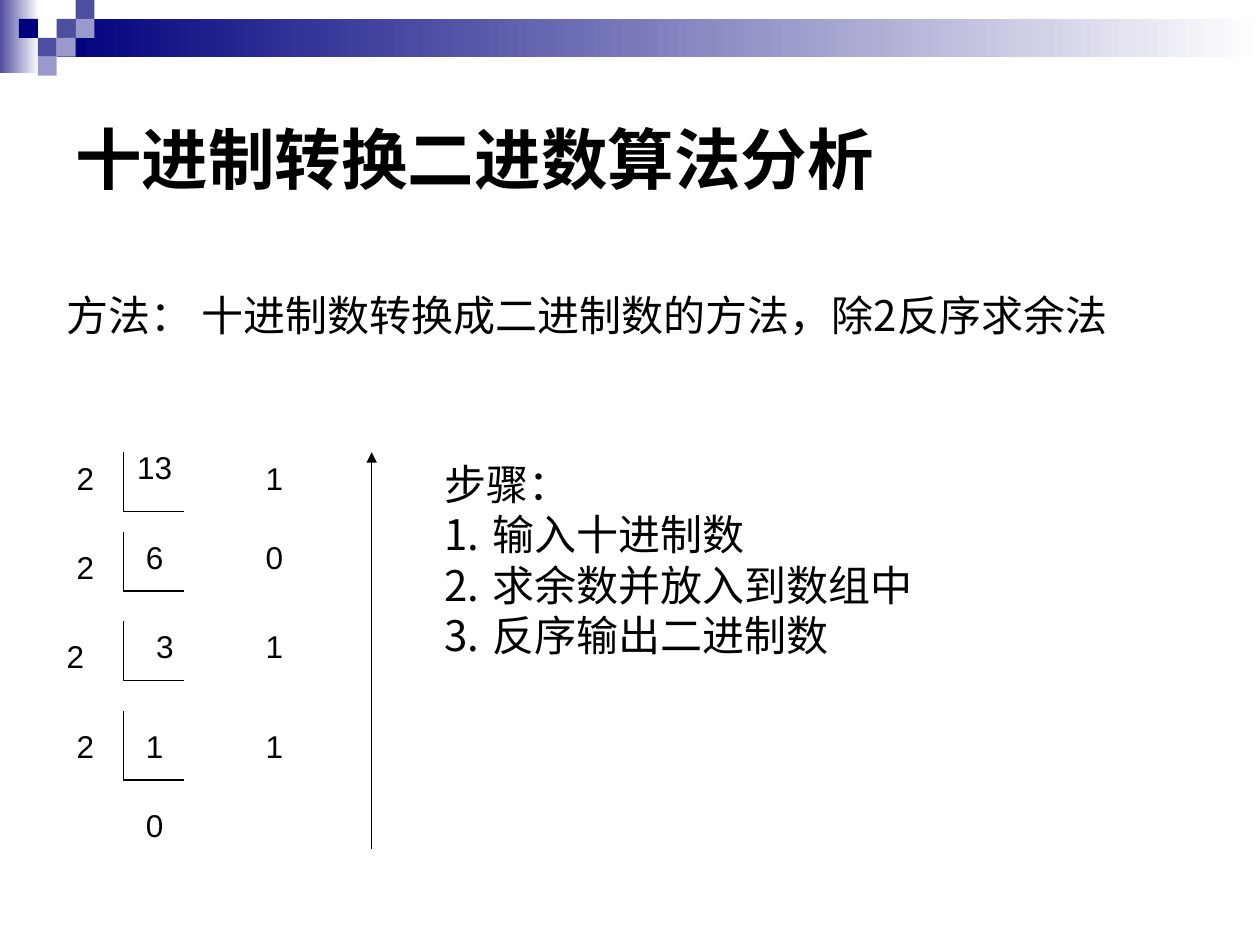
from lxml.etree import SubElement
from pptx import Presentation
from pptx.dml.color import RGBColor
from pptx.enum.shapes import MSO_CONNECTOR, MSO_SHAPE
from pptx.enum.text import MSO_ANCHOR, MSO_AUTO_SIZE
from pptx.oxml.ns import qn
from pptx.util import Inches, Pt

LATIN, CJK = "Arial", "Noto Sans CJK JP"
BLACK, NAVY, INDIGO, LAVENDER, WHITE = "000000", "00007D", "4E4EA0", "9999CC", "FFFFFF"
TILE = 0.15
HANGING = 0.38


def rgb(hex_color):
    return RGBColor.from_string(hex_color)


def set_all(target, values):
    for name, value in values.items():
        setattr(target, name, value)


def add_block(slide, left, top, width, height, *colors):
    """Rectangle with a solid fill, or a left-to-right gradient for two colours."""
    block = slide.shapes.add_shape(
        MSO_SHAPE.RECTANGLE, Inches(left), Inches(top), Inches(width), Inches(height))
    block.shadow.inherit = False
    block.line.fill.background()
    if len(colors) == 1:
        block.fill.solid()
        block.fill.fore_color.rgb = rgb(colors[0])
        return
    block.fill.gradient()
    block.fill.gradient_angle = 0
    for position, (stop, color) in enumerate(zip(block.fill.gradient_stops, colors)):
        set_all(stop, {"position": position})
        stop.color.rgb = rgb(color)


def add_line(slide, start, end, arrow=False):
    line = slide.shapes.add_connector(
        MSO_CONNECTOR.STRAIGHT, *(Inches(value) for value in (*start, *end)))
    line.line.color.rgb = rgb(BLACK)
    line.line.width = Pt(0.75)
    properties = line.element.spPr
    if arrow:
        SubElement(properties.find(qn("a:ln")), qn("a:tailEnd"), type="triangle")
    SubElement(properties, qn("a:effectLst"))


def number_paragraph(paragraph):
    properties = paragraph._p.get_or_add_pPr()
    color = SubElement(properties, qn("a:buClr"))
    SubElement(color, qn("a:srgbClr"), val=BLACK)
    SubElement(properties, qn("a:buFont"), typeface=CJK)
    SubElement(properties, qn("a:buAutoNum"), type="arabicPeriod")


def add_text(slide, left, top, width, height, lines, size, *, font=LATIN, bold=False,
             hanging=0, spacing=None, numbered_from=None, frame_format=None):
    box = slide.shapes.add_textbox(
        Inches(left), Inches(top), Inches(width), Inches(height))
    frame = box.text_frame
    set_all(frame, {"word_wrap": True, **(frame_format or {})})
    for index, words in enumerate(lines):
        paragraph = frame.paragraphs[0] if index == 0 else frame.add_paragraph()
        if hanging:
            properties = paragraph._p.get_or_add_pPr()
            properties.set("marL", str(Inches(hanging)))
            properties.set("indent", str(-Inches(hanging)))
        if numbered_from is not None and index >= numbered_from:
            number_paragraph(paragraph)
        if spacing:
            paragraph.line_spacing = spacing
        run = paragraph.add_run()
        run.text = words
        set_all(run.font, {"name": font, "size": Pt(size), "bold": bold})
        run.font.color.rgb = rgb(BLACK)
        SubElement(run.font._element, qn("a:ea"), typeface=CJK)


def add_digit(slide, left, top, digit, width=0.34):
    add_text(slide, left, top, width, 0.4, [digit], 18,
             frame_format={"word_wrap": False, "auto_size": MSO_AUTO_SIZE.SHAPE_TO_FIT_TEXT})


def add_header(slide):
    add_block(slide, 0, 0, 0.31, 0.58, INDIGO, WHITE)
    add_block(slide, 0.45, TILE, 9.55, 2 * TILE, NAVY, WHITE)
    # Mosaic tiles as column, row, colour
    tiles = [(3, 1, INDIGO), (4, 0, INDIGO), (4, 1, LAVENDER), (2, 2, INDIGO),
             (1, 1, NAVY), (3, 2, LAVENDER), (2, 3, LAVENDER)]
    for column, row, color in tiles:
        add_block(slide, column * TILE, row * TILE, TILE, TILE, color)


def add_division(slide):
    bracket_left, bracket_right, remainder_left = 0.98, 1.46, 2.01
    # Bracket top and bottom; divisor, dividend as (left, top, digit); remainder top, digit
    steps = [
        (3.59, 4.06, (0.51, 3.59, "2"), (0.99, 3.51, "13", 0.48), (3.59, "1")),
        (4.22, 4.69, (0.51, 4.3, "2"), (1.06, 4.22, "6"), (4.22, "0")),
        (4.93, 5.4, (0.43, 5.01, "2"), (1.14, 4.93, "3"), (4.93, "1")),
        (5.64, 6.19, (0.51, 5.72, "2"), (1.06, 5.72, "1"), (5.72, "1")),
    ]
    for top, bottom, divisor, dividend, remainder in steps:
        corner = (bracket_left, bottom)
        add_line(slide, (bracket_left, top), corner)
        add_line(slide, corner, (bracket_right, bottom))
        add_digit(slide, *divisor)
        add_digit(slide, *dividend)
        add_digit(slide, remainder_left, *remainder)
    add_digit(slide, 1.06, 6.35, "0")
    # Remainders are read upwards
    add_line(slide, (2.95, 6.74), (2.95, 3.59), arrow=True)


def main():
    deck = Presentation()
    set_all(deck, {"slide_width": Inches(10), "slide_height": Inches(7.5)})
    slide = deck.slides.add_slide(deck.slide_layouts[6])

    add_header(slide)

    # Title and method
    add_text(slide, 0.5, 0.5, 9, 1.5, ["十进制转换二进数算法分析"], 38, bold=True,
             frame_format={"vertical_anchor": MSO_ANCHOR.MIDDLE})
    add_text(slide, 0.43, 2.33, 9.06, 0.94,
             ["方法： 十进制数转换成二进制数的方法，除2反序求余法"], 24,
             font=CJK, hanging=HANGING, spacing=0.8)

    add_division(slide)

    # Steps
    add_text(slide, 3.43, 3.59, 4.49, 1.7,
             ["步骤：", "输入十进制数", "求余数并放入到数组中", "反序输出二进制数"], 24,
             hanging=HANGING, numbered_from=1,
             frame_format={"auto_size": MSO_AUTO_SIZE.SHAPE_TO_FIT_TEXT})

    deck.save("out.pptx")


if __name__ == "__main__":
    main()
